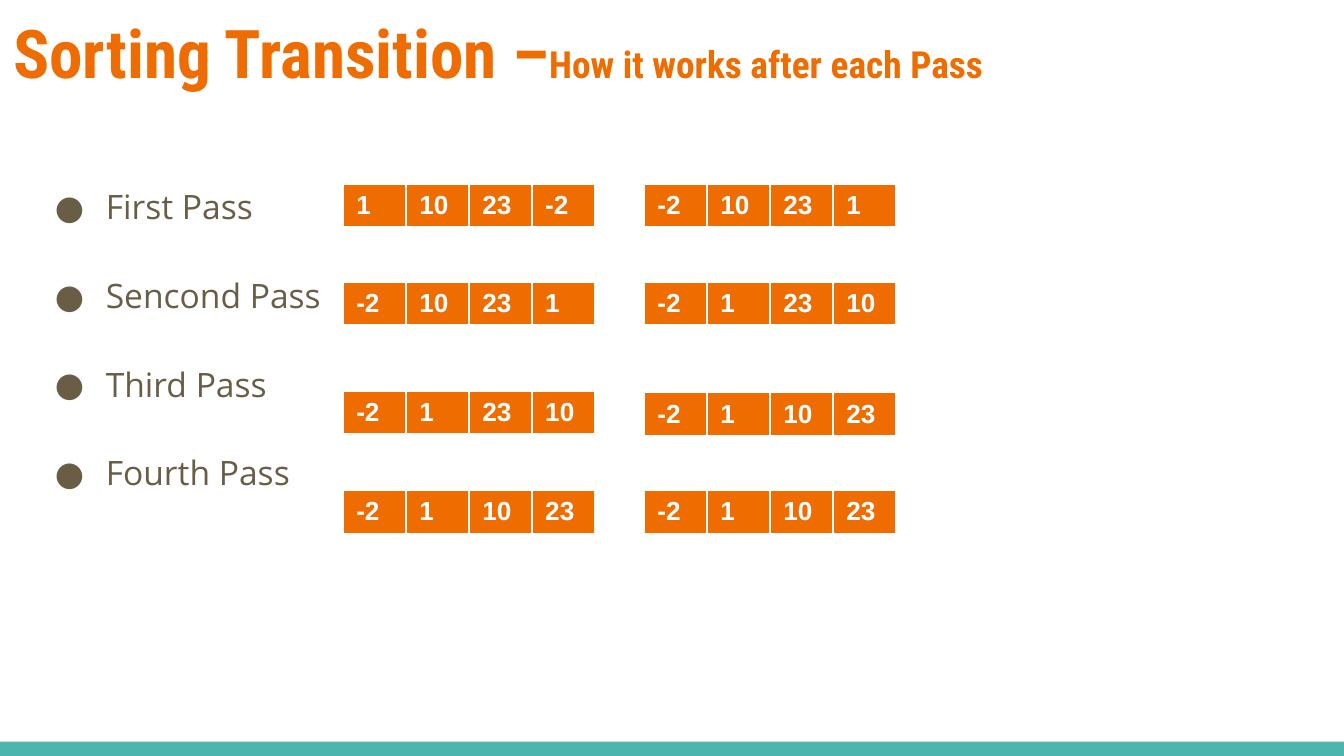
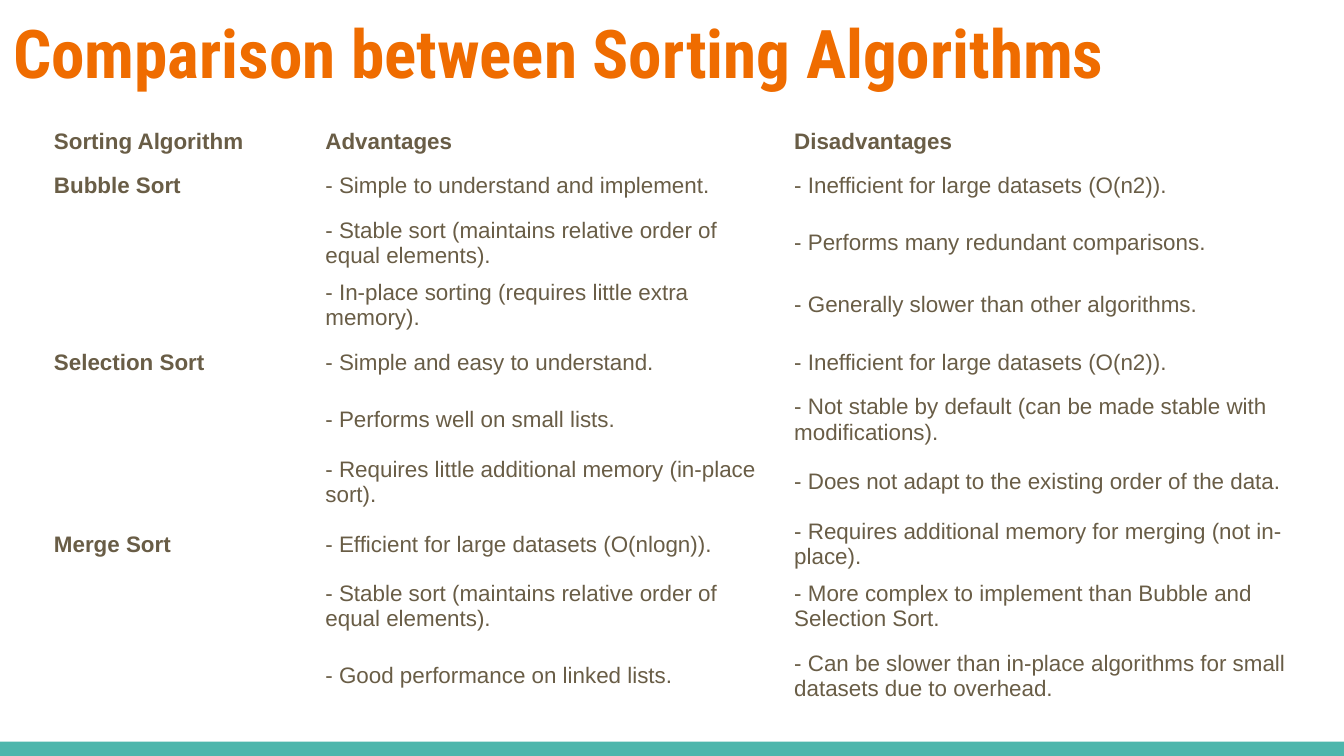
from lxml.etree import SubElement
from pptx import Presentation
from pptx.dml.color import RGBColor
from pptx.enum.shapes import MSO_SHAPE as Shape
from pptx.enum.text import MSO_ANCHOR as Anchor
from pptx.oxml import parse_xml
from pptx.oxml.ns import nsdecls, qn
from pptx.util import Cm, Pt

ORANGE, TEAL, BROWN, WHITE = "EF6C00", "4DB6AC", "695D46", "FFFFFF"
HEADING, BODY, CELL = "Roboto Condensed", "Open Sans", "Arial"
PLAIN_STYLE = "{2D5ABB26-0587-4C30-8999-92F81FD0307C}"
SLIDE_W, SLIDE_H, BAND_H = 25.4, 14.29, 0.27

PASSES_TITLE = [("Sorting Transition –", 36), ("How it works after each Pass", 20)]
PASSES = [
    ("First Pass", (3.48, [1, 10, 23, -2]), (3.48, [-2, 10, 23, 1])),
    ("Sencond Pass", (5.33, [-2, 10, 23, 1]), (5.33, [-2, 1, 23, 10])),
    ("Third Pass", (7.39, [-2, 1, 23, 10]), (7.42, [-2, 1, 10, 23])),
    ("Fourth Pass", (9.27, [-2, 1, 10, 23]), (9.27, [-2, 1, 10, 23])),
]
BEFORE_AFTER_X = (6.48, 12.17)
NUMBER_W, NUMBER_H = 1.19, 0.83

COMPARISON_TITLE = [("Comparison between Sorting Algorithms", 36)]
COMPARISON_HEAD = ("Sorting Algorithm", "Advantages", "Disadvantages")
ALGORITHMS = {
    "Bubble Sort": [
        ("Simple to understand and implement.", "Inefficient for large datasets (O(n2))."),
        ("Stable sort (maintains relative order of equal elements).",
         "Performs many redundant comparisons."),
        ("In-place sorting (requires little extra memory).",
         "Generally slower than other algorithms."),
    ],
    "Selection Sort": [
        ("Simple and easy to understand.", "Inefficient for large datasets (O(n2))."),
        ("Performs well on small lists.",
         "Not stable by default (can be made stable with modifications)."),
        ("Requires little additional memory (in-place sort).",
         "Does not adapt to the existing order of the data."),
    ],
    "Merge Sort": [
        ("Efficient for large datasets (O(nlogn)).",
         "Requires additional memory for merging (not in-place)."),
        ("Stable sort (maintains relative order of equal elements).",
         "More complex to implement than Bubble and Selection Sort."),
        ("Good performance on linked lists.",
         "Can be slower than in-place algorithms for small datasets due to overhead."),
    ],
}
COLUMN_WIDTHS = (5.13, 8.86, 9.68)
ROW_HEIGHTS = (0.64, 0.99, 1.13, 1.13, 0.99, 1.13, 1.13, 1.13, 1.13, 1.45)


def rgb(color):
    return RGBColor.from_string(color)


def write(paragraph, text, *, size, font, color, bold=False):
    run = paragraph.add_run()
    run.text = text
    run.font.size, run.font.name, run.font.bold = Pt(size), font, bold
    run.font.color.rgb = rgb(color)


def add_frame(slide, *box, anchor=Anchor.TOP):
    frame = slide.shapes.add_textbox(*map(Cm, box)).text_frame
    frame.word_wrap, frame.vertical_anchor = True, anchor
    frame.margin_left = frame.margin_right = Cm(0.25)
    frame.margin_top = frame.margin_bottom = Cm(0.25)
    return frame


def start_slide(deck, title):
    slide = deck.slides.add_slide(deck.slide_layouts[6])
    slide.background.fill.solid()
    slide.background.fill.fore_color.rgb = rgb(WHITE)
    band = slide.shapes.add_shape(
        Shape.RECTANGLE, 0, Cm(SLIDE_H - BAND_H), Cm(SLIDE_W), Cm(BAND_H))
    band.shadow.inherit = False
    band.fill.solid()
    band.fill.fore_color.rgb = rgb(TEAL)
    band.line.fill.background()
    heading = add_frame(slide, 0, 0, 23.67, 1.96, anchor=Anchor.MIDDLE)
    for text, size in title:
        write(heading.paragraphs[0], text, size=size, font=HEADING, color=ORANGE, bold=True)
    return slide


def add_bullet(paragraph):
    props = paragraph._p.get_or_add_pPr()
    props.set("marL", str(Cm(1.27)))
    props.set("indent", str(-Cm(0.96)))
    SubElement(SubElement(props, qn("a:buClr")), qn("a:srgbClr")).set("val", BROWN)
    SubElement(props, qn("a:buFont")).set("typeface", BODY)
    SubElement(props, qn("a:buChar")).set("char", "●")


def add_grid(slide, left, top, widths, heights):
    table = slide.shapes.add_table(
        len(heights), len(widths), Cm(left), Cm(top),
        Cm(sum(widths)), Cm(sum(heights))).table
    table.first_row = table.horz_banding = False
    table._tbl.tblPr.find(qn("a:tableStyleId")).text = PLAIN_STYLE
    for column, width in zip(table.columns, widths):
        column.width = Cm(width)
    for row, height in zip(table.rows, heights):
        row.height = Cm(height)
    return table


def outline(cell):
    for place, (side, points) in enumerate([("L", 1), ("R", 1), ("T", 1), ("B", 3)]):
        edge = parse_xml(
            f'<a:ln{side} {nsdecls("a")} w="{Pt(points)}"><a:solidFill>'
            f'<a:srgbClr val="{WHITE}"/></a:solidFill></a:ln{side}>')
        cell._tc.get_or_add_tcPr().insert(place, edge)


def add_numbers(slide, left, top, numbers):
    table = add_grid(slide, left, top, [NUMBER_W] * len(numbers), [NUMBER_H])
    for cell, number in zip(table.rows[0].cells, numbers):
        cell.fill.solid()
        cell.fill.fore_color.rgb = rgb(ORANGE)
        outline(cell)
        write(cell.text_frame.paragraphs[0], str(number),
              size=14, font=CELL, color=WHITE, bold=True)


def build_passes(deck):
    slide = start_slide(deck, PASSES_TITLE)
    names = add_frame(slide, 0.48, 2.36, 6, 9.17)
    for index, (name, *steps) in enumerate(PASSES):
        paragraph = names.add_paragraph() if index else names.paragraphs[0]
        paragraph.line_spacing = 2.2
        add_bullet(paragraph)
        write(paragraph, name, size=18, font=BODY, color=BROWN)
        for left, (top, numbers) in zip(BEFORE_AFTER_X, steps):
            add_numbers(slide, left, top, numbers)


def build_comparison(deck):
    slide = start_slide(deck, COMPARISON_TITLE)
    lines = [COMPARISON_HEAD]
    for algorithm, points in ALGORITHMS.items():
        for index, (pro, con) in enumerate(points):
            lines.append(("" if index else algorithm, f"- {pro}", f"- {con}"))
    table = add_grid(slide, 0.86, 2.34, COLUMN_WIDTHS, ROW_HEIGHTS)
    for r, line in enumerate(lines):
        for c, text in enumerate(line):
            cell = table.cell(r, c)
            cell.fill.background()
            cell.vertical_anchor = Anchor.MIDDLE
            cell.margin_left = cell.margin_right = Cm(0.16)
            cell.margin_top = cell.margin_bottom = Cm(0.08)
            if text:
                write(cell.text_frame.paragraphs[0], text, size=12, font=CELL,
                      color=BROWN, bold=r == 0 or c == 0)


def main():
    """Build the two sorting slides and save them."""
    deck = Presentation()
    deck.slide_width, deck.slide_height = Cm(SLIDE_W), Cm(SLIDE_H)
    build_passes(deck)
    build_comparison(deck)
    deck.save("out.pptx")


if __name__ == "__main__":
    main()
